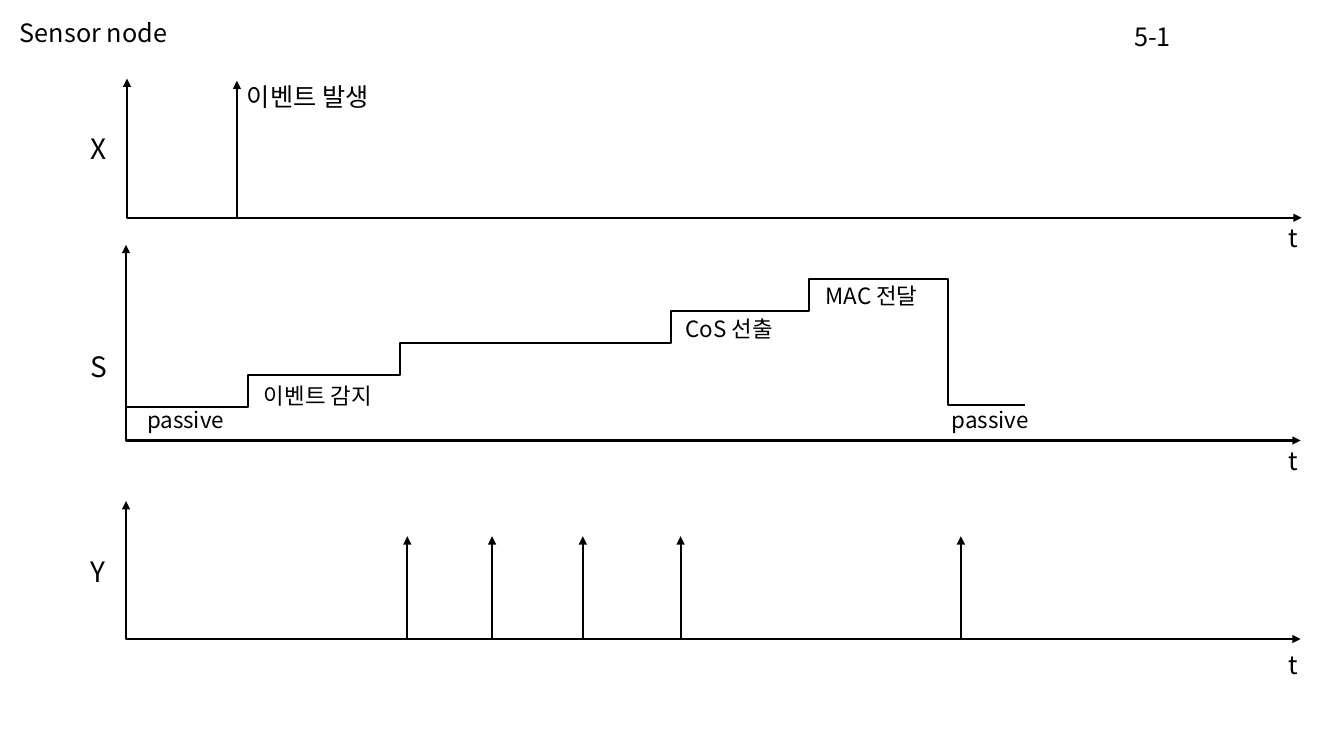
from lxml.etree import SubElement
from pptx import Presentation
from pptx.dml.color import RGBColor
from pptx.enum.shapes import MSO_CONNECTOR as Link
from pptx.oxml.ns import qn
from pptx.util import Inches, Pt

FONT = "Noto Sans CJK KR"
INK = "000000"
AXIS_RIGHT = 12.9


def colour(hex_code):
    return RGBColor.from_string(hex_code)


def add_label(slide, text, left, top, width, height=0.4, size=18):
    box = slide.shapes.add_textbox(
        Inches(left), Inches(top), Inches(width), Inches(height))
    box.text_frame.word_wrap = True
    run = box.text_frame.paragraphs[0].add_run()
    run.text = text
    run.font.size = Pt(size)
    run.font.name = FONT
    run.font.color.rgb = colour(INK)
    SubElement(run.font._element, qn("a:ea"), typeface=FONT)


def add_line(slide, start, end, bend=None, arrows=()):
    """Draw a straight line, or an elbow turning at the fraction bend of its width.

    arrows lists the ends with a triangle: headEnd (start), then tailEnd (end).
    """
    kind = Link.STRAIGHT if bend is None else Link.ELBOW
    line = slide.shapes.add_connector(kind, *map(Inches, start + end))
    line.line.color.rgb = colour(INK)
    line.line.width = Pt(1.5)
    properties = line._element.spPr
    if bend is not None:
        guides = properties.find(qn("a:prstGeom")).get_or_add_avLst()
        SubElement(guides, qn("a:gd"), name="adj1",
                   fmla=f"val {round(bend * 100000)}")
    for arrow in arrows:
        SubElement(line.line._get_or_add_ln(), qn(f"a:{arrow}"), type="triangle")
    SubElement(properties, qn("a:effectLst"))


def add_axes(slide, name, left, top, bottom, name_top, time_top):
    add_line(slide, (left, top), (left + AXIS_RIGHT - 1.25, bottom),
             bend=0, arrows=("headEnd", "tailEnd"))
    add_label(slide, name, 0.8, name_top, 0.45, 0.44, size=20)
    add_label(slide, "t", 12.68, time_top, 0.45)


def add_event(slide, x, bottom, top):
    add_line(slide, (x, bottom), (x, top), arrows=("tailEnd",))


def main():
    deck = Presentation()
    deck.slide_width, deck.slide_height = Inches(13.33), Inches(7.5)
    slide = deck.slides.add_slide(deck.slide_layouts[6])

    add_label(slide, "Sensor node", 0.1, 0.12, 4.84)
    add_label(slide, "5-1", 11.15, 0.16, 2.19)

    add_axes(slide, "X", 1.26, 0.78, 2.16, name_top=1.26, time_top=2.16)
    add_axes(slide, "S", 1.25, 2.43, 4.37, name_top=3.42, time_top=4.37)
    add_axes(slide, "Y", 1.25, 4.97, 6.34, name_top=5.45, time_top=6.39)

    add_event(slide, 2.35, 2.16, 0.8)
    add_label(slide, "이벤트 발생", 2.35, 0.76, 7.18)
    for output_x in (4.04, 4.88, 5.78, 6.75, 9.53):
        add_event(slide, output_x, 6.34, 5.32)

    state_steps = [
        ((1.25, 4.04), (3.96, 3.72), 0.446),
        ((3.96, 3.72), (6.66, 3.4), 0.003),
        ((6.65, 3.4), (8.02, 3.09), 0.003),
        ((8.02, 3.09), (9.39, 2.77), 0.003),
        ((9.39, 2.77), (10.17, 4.02), 0.012),
    ]
    for start, end, bend in state_steps:
        add_line(slide, start, end, bend)

    state_names = [
        ("passive", 1.36, 3.98, 1.25),
        ("이벤트 감지", 2.52, 3.74, 1.73),
        ("CoS 선출", 6.7, 3.08, 1.73),
        ("MAC 전달", 8.09, 2.75, 1.73),
        ("passive", 9.34, 3.98, 1.25),
    ]
    for name, left, top, width in state_names:
        add_label(slide, name, left, top, width, 0.37, size=16)

    deck.save("out.pptx")


if __name__ == "__main__":
    main()
